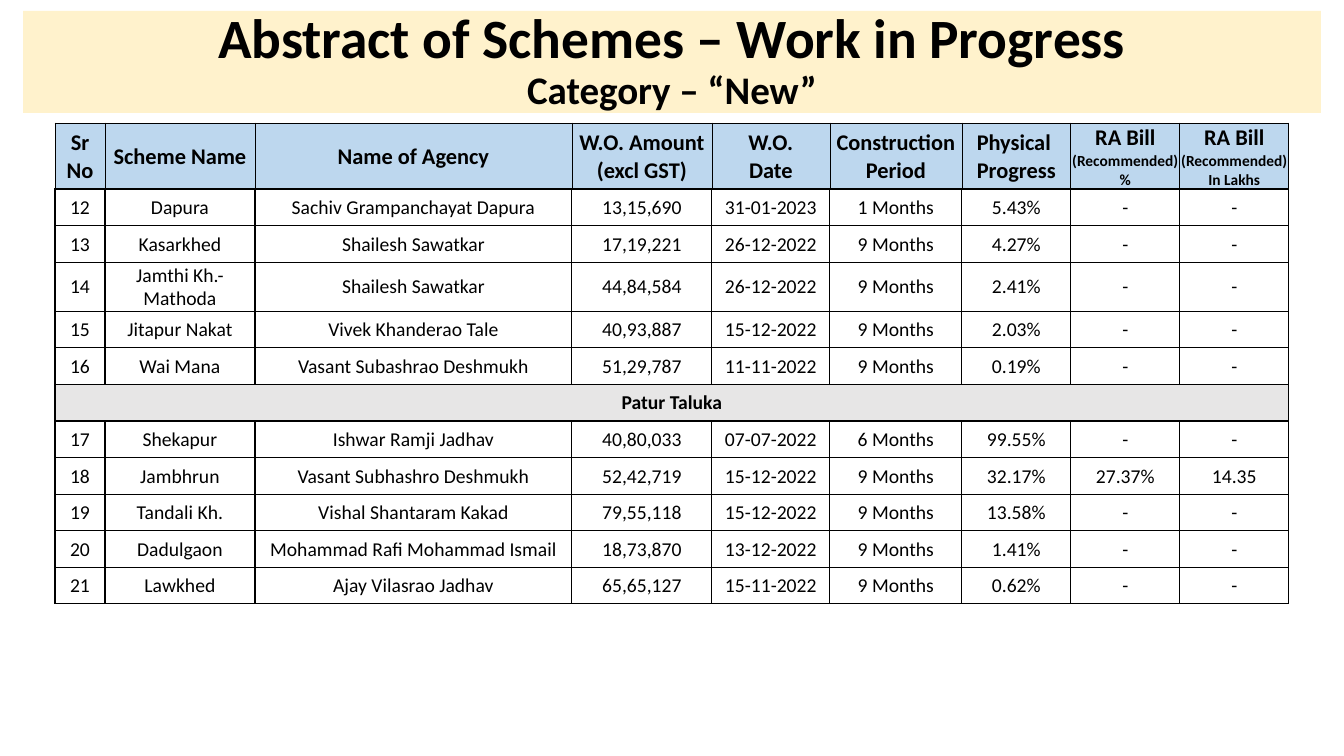
from lxml.etree import SubElement
from pptx import Presentation
from pptx.dml.color import RGBColor
from pptx.enum.text import MSO_ANCHOR, MSO_AUTO_SIZE, PP_ALIGN
from pptx.oxml import parse_xml
from pptx.oxml.ns import nsdecls, qn
from pptx.util import Emu, Pt

# In the texts, \v is a line break and \n starts a new paragraph.
TITLE = "Abstract of Schemes – Work in Progress\vCategory – “New”"
HEADINGS = [
    "Sr No", "Scheme Name", "Name of Agency", "W.O. Amount\v(excl GST)", "W.O.\vDate",
    "Construction\vPeriod", "Physical \nProgress",
    "RA Bill\n(Recommended)\n%", "RA Bill\n(Recommended)\nIn Lakhs",
]
SCHEMES = [
    ("12", "Dapura", "Sachiv Grampanchayat Dapura", "13,15,690", "31-01-2023", "1 Months", "5.43%", "-", "-"),
    ("13", "Kasarkhed", "Shailesh Sawatkar", "17,19,221", "26-12-2022", "9 Months", "4.27%", "-", "-"),
    ("14", "Jamthi Kh.-Mathoda", "Shailesh Sawatkar", "44,84,584", "26-12-2022", "9 Months", "2.41%", "-", "-"),
    ("15", "Jitapur Nakat", "Vivek Khanderao Tale", "40,93,887", "15-12-2022", "9 Months", "2.03%", "-", "-"),
    ("16", "Wai Mana", "Vasant Subashrao Deshmukh", "51,29,787", "11-11-2022", "9 Months", "0.19%", "-", "-"),
    ("Patur Taluka",),
    ("17", "Shekapur", "Ishwar Ramji Jadhav", "40,80,033", "07-07-2022", "6 Months", "99.55%", "-", "-"),
    ("18", "Jambhrun", "Vasant Subhashro Deshmukh", "52,42,719", "15-12-2022", "9 Months", "32.17%", "27.37%", "14.35"),
    ("19", "Tandali Kh.", "Vishal Shantaram Kakad", "79,55,118", "15-12-2022", "9 Months", "13.58%", "-", "-"),
    ("20", "Dadulgaon", "Mohammad Rafi Mohammad Ismail", "18,73,870", "13-12-2022", "9 Months", "1.41%", "-", "-"),
    ("21", "Lawkhed", "Ajay Vilasrao Jadhav", "65,65,127", "15-11-2022", "9 Months", "0.62%", "-", "-"),
]

COLORS = {"ink": "000000", "banner": "FFF2CC", "heading": "BDD7EE", "taluka": "E7E6E6"}
FONT = "Calibri"
PX = 914400 / 100.8
COLUMNS = [50, 150, 317, 140, 118, 132, 109, 109, 109]
TABLE_LEFT, HEADING_TOP, BODY_TOP, BODY_BOTTOM = 55, 123, 189, 604
TALL_ROW = 49
TALL_SCHEME = "14"


def px(length):
    return Emu(round(length * PX))


def fill_with(target, color):
    target.fill.solid()
    target.fill.fore_color.rgb = RGBColor.from_string(COLORS[color])


def style_para(para, sizes, bold):
    """Centre a paragraph and give its runs the sizes in turn, repeating the last."""
    para.alignment = PP_ALIGN.CENTER
    for index, span in enumerate(para.runs):
        span.font.name = FONT
        span.font.size = Pt(sizes[min(index, len(sizes) - 1)])
        span.font.bold = bold
        span.font.color.rgb = RGBColor.from_string(COLORS["ink"])
    for line_break in para._p.findall(qn("a:br")):
        SubElement(line_break, qn("a:rPr")).set("sz", str(round(sizes[0] * 100)))


def set_borders(cell, widths):
    """Draw the left, right, top and bottom borders with the given point widths."""
    properties = cell._tc.get_or_add_tcPr()
    for index, (side, width) in enumerate(zip("LRTB", widths)):
        properties.insert(index, parse_xml(
            f'<a:ln{side} {nsdecls("a")} w="{Pt(width)}"><a:solidFill>'
            f'<a:srgbClr val="{COLORS["ink"]}"/></a:solidFill></a:ln{side}>'))


def format_cell(cell, text, size, bold, color, widths):
    cell.text = text
    cell.vertical_anchor = MSO_ANCHOR.MIDDLE
    cell.margin_left = cell.margin_right = cell.margin_top = px(1)
    cell.margin_bottom = 0
    for index, para in enumerate(cell.text_frame.paragraphs):
        is_note = text.startswith("RA Bill") and index > 0
        style_para(para, [11 if is_note else size], bold)
    if color:
        fill_with(cell, color)
    else:
        cell.fill.background()
    set_borders(cell, widths)


def add_grid(page, top, heights):
    frame = page.shapes.add_table(len(heights), len(COLUMNS), px(TABLE_LEFT), px(top),
                                  px(sum(COLUMNS)), px(sum(heights)))
    table = frame.table
    table.first_row = table.horz_banding = False
    for column, width in zip(table.columns, COLUMNS):
        column.width = px(width)
    for row, height in zip(table.rows, heights):
        row.height = px(height)
    return table


def add_title(page):
    title = page.shapes.title
    title.left, title.top, title.width, title.height = px(23), px(11), px(1298), px(102)
    fill_with(title, "banner")
    frame = title.text_frame
    frame.text = TITLE
    frame.word_wrap = True
    frame.auto_size = MSO_AUTO_SIZE.NONE
    frame.vertical_anchor = MSO_ANCHOR.MIDDLE
    frame.paragraphs[0].line_spacing = 0.9
    style_para(frame.paragraphs[0], [39.6, 27.9], True)


def add_headings(page):
    table = add_grid(page, HEADING_TOP, [BODY_TOP - HEADING_TOP])
    for column, heading in enumerate(HEADINGS):
        format_cell(table.cell(0, column), heading, 16, True, "heading", (0.5, 0.5, 0.5, 1))


def add_schemes(page):
    plain_row = (BODY_BOTTOM - BODY_TOP - TALL_ROW) / (len(SCHEMES) - 1)
    heights = [TALL_ROW if scheme[0] == TALL_SCHEME else plain_row for scheme in SCHEMES]
    table = add_grid(page, BODY_TOP, heights)
    for row, scheme in enumerate(SCHEMES):
        is_taluka = len(scheme) == 1
        if is_taluka:
            table.cell(row, 0).merge(table.cell(row, len(COLUMNS) - 1))
        for column, text in enumerate(scheme):
            format_cell(table.cell(row, column), text, 14, is_taluka,
                        "taluka" if is_taluka else None, (1, 1, 1, 1))


def main():
    deck = Presentation()
    deck.slide_width, deck.slide_height = px(1344), px(756)
    page = deck.slides.add_slide(deck.slide_layouts[5])
    add_title(page)
    add_headings(page)
    add_schemes(page)
    deck.save("out.pptx")


if __name__ == "__main__":
    main()
